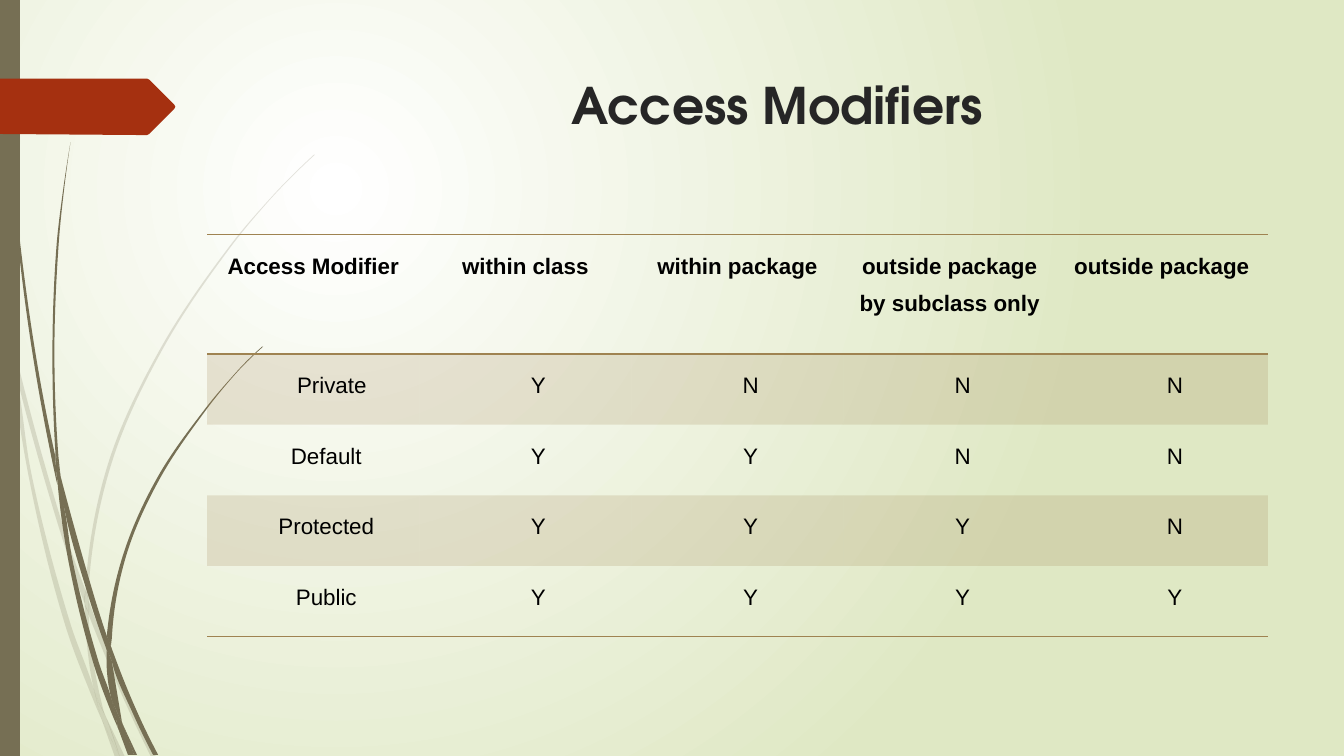
from collections import namedtuple

from lxml import etree
from pptx import Presentation
from pptx import util as u
from pptx.dml.color import RGBColor
from pptx.enum import shapes, text
from pptx.oxml.ns import qn

Box = namedtuple("Box", "left top width height")

COLORS = {"white": "FFFFFF", "lime": "DFE8C4", "olive": "766F54", "rust": "A53010",
          "title": "262626", "body": "000000", "tan": "9F8351"}
UNIT = u.Cm(2.54) / 100  # outline points are in hundredths of an inch
NO_GRID = "{2D5ABB26-0587-4C30-8999-92F81FD0307C}"

PALE_BLADES = [
    "11,350 9,322 0,282 0,299 10,344",
    "58,522 84,599 85,586 62,520 14,345 17,376",
    "92,607 88,596 88,610 123,694 150,751 155,751 127,692",
    "119,751 124,751 105,711",
    "93,683 70,619 31,469 17,376 11,350 28,470 65,621 92,693 101,714 99,707",
    "84,599 87,646 93,683 96,692 105,711 103,706 91,646 88,610 88,608",
    "88,584 110,462 160,349 229,245 268,198 290,175 312,154 312,153 289,175 268,197 "
    "228,244 158,348 107,461 85,584 85,586 88,596",
    "101,714 114,751 119,751",
    "88,608 88,610 88,596 85,586 84,599",
    "96,692 93,683 99,707 101,714 119,751 105,711",
]
DARK_BLADES = [
    "7,110 17,233 33,355 56,477 57,481 55,457 55,453 36,355 19,232 8,109 5,48 4,0 3,0 4,48",
    "88,592 106,645 106,633 106,631 93,590 60,472 64,505",
    "113,649 110,641 111,656 132,708 152,749 157,749 136,706",
    "110,691 98,657 72,556 64,505 57,477 68,557 93,659 111,708 117,722 116,717",
    "60,472 58,453 54,349 58,245 63,193 70,141 62,193 56,245 52,349 55,449",
    "133,749 136,749 122,719",
    "57,477 64,505 60,472 55,449 55,453",
    "111,633 125,552 158,476 205,406 231,374 245,359 261,344 260,344 245,358 231,373 "
    "204,405 156,474 122,551 106,631 110,641",
    "117,722 127,749 131,749",
    "106,645 110,691 116,706 122,719 121,716 111,656 109,651",
    "106,645 109,651 111,656 110,641 106,631 106,633",
    "116,706 110,691 116,717 117,722 130,749 133,749 122,719",
]
ARROW = "173,108 148,133 146,134 136,134 0,133 0,78 136,78 146,78 148,79 173,104 174,106"

TABLE_ROWS = [
    ["Access Modifier", "within class", "within package",
     "outside package by subclass only", "outside package"],
    ["Private", *"YNNN"],
    ["Default", *"YYNN"],
    ["Protected", *"YYYN"],
    ["Public", *"YYYY"],
]


def paint(fill, color, alpha=100):
    """Fill with a solid colour at the given opacity in percent."""
    fill.solid()
    fill.fore_color.rgb = RGBColor.from_string(COLORS[color])
    if alpha < 100:
        etree.SubElement(fill._xPr.find(".//" + qn("a:srgbClr")), qn("a:alpha"),
                         {"val": str(alpha * 1000)})


def finish(shape, color, alpha=100):
    """Give a shape a plain fill with neither outline nor shadow."""
    paint(shape.fill, color, alpha)
    shape.line.fill.background()
    shape.shadow.inherit = False


def bend_handles(points):
    """Yield both handles of each side, keeping sharp corners sharp."""
    spans = [b - a for a, b in zip(points, points[1:] + points[:1])]
    tangents = []
    for before, after in zip(spans[-1:] + spans[:-1], spans):
        short, long = sorted((abs(before), abs(after)))
        way = before / abs(before) + after / abs(after)
        is_bend = abs(way) > 1.9 and short > long / 4
        tangents.append(way / abs(way) if is_bend else None)
    for i, span in enumerate(spans):
        chord = span / abs(span)
        start, end = tangents[i], tangents[(i + 1) % len(points)]
        if start is None:
            start = chord ** 2 * end.conjugate() if end else chord
        if end is None:
            end = chord ** 2 * start.conjugate()
        reach = abs(span) / 3
        yield points[i] + start * reach, points[i] + span - end * reach


def add_outline(parent, box, outline, color, alpha=100, rounded=True):
    """Draw one closed outline, offset by the corner of the box."""
    points = [complex(*map(int, pair.split(","))) * UNIT for pair in outline.split()]
    spots = [(box.left + p.real, box.top + p.imag) for p in points]
    builder = parent.build_freeform(*spots[0], scale=1.0)
    builder.add_line_segments(spots[1:] + spots[:1], close=True)
    shape = builder.convert_to_shape()
    finish(shape, color, alpha)
    if rounded:
        corner = complex(shape.left - box.left, shape.top - box.top)
        sides = list(shape._element.iter(qn("a:lnTo")))
        for side, handles in zip(sides, bend_handles(points)):
            side.tag = qn("a:cubicBezTo")
            for index, handle in enumerate(handles):
                spot = handle - corner
                side.insert(index, etree.Element(qn("a:pt"), {
                    "x": str(round(spot.real)), "y": str(round(spot.imag))}))


def add_background(slide):
    """Set the round glow in the upper left of the slide."""
    fill = slide.background.fill
    fill.gradient()
    for stop, color in zip(fill.gradient_stops, ("white", "lime")):
        stop.color.rgb = RGBColor.from_string(COLORS[color])
    gradient = slide.element.find(".//" + qn("a:gradFill"))
    gradient.remove(gradient.find(qn("a:lin")))
    glow = etree.SubElement(gradient, qn("a:path"), {"path": "circle"})
    etree.SubElement(glow, qn("a:fillToRect"),
                     {"l": "50000", "t": "50000", "r": "100000", "b": "100000"})


def add_decoration(slide, box):
    """Place the grass, the side bar and the arrow along the left edge."""
    for blades, alpha in ((PALE_BLADES, 20), (DARK_BLADES, 100)):
        grass = slide.shapes.add_group_shape()
        for blade in blades:
            add_outline(grass.shapes, box, blade, "olive", alpha)
    bar = slide.shapes.add_shape(shapes.MSO_SHAPE.RECTANGLE, box.left, box.top,
                                 u.Cm(0.5), box.height)
    finish(bar, "olive")
    add_outline(slide.shapes, box, ARROW, "rust", rounded=False)


def write(para, words, font, size, color, bold):
    """Add one centred run to a paragraph."""
    para.alignment = text.PP_ALIGN.CENTER
    span = para.add_run()
    span.text = words
    span.font.name, span.font.size, span.font.bold = font, u.Pt(size), bold
    span.font.color.rgb = RGBColor.from_string(COLORS[color])


def add_title(slide, box):
    """Place the heading at the top of its box."""
    frame = slide.shapes.add_textbox(*box).text_frame
    frame.word_wrap = True
    frame.vertical_anchor = text.MSO_ANCHOR.TOP
    write(frame.paragraphs[0], "Access Modifiers", "TeX Gyre Adventor", 36, "title", True)


def add_border(cell, sides):
    """Draw thin tan lines on the named sides of a cell."""
    for index, side in enumerate(sides):
        line = etree.Element(qn("a:ln" + side), {"w": str(u.Pt(1))})
        solid = etree.SubElement(line, qn("a:solidFill"))
        etree.SubElement(solid, qn("a:srgbClr"), {"val": COLORS["tan"]})
        cell._tc.get_or_add_tcPr().insert(index, line)


def add_modifier_table(slide, box):
    """Build the table of modifiers with every second row shaded."""
    last = len(TABLE_ROWS) - 1
    columns = len(TABLE_ROWS[0])
    table = slide.shapes.add_table(last + 1, columns, *box).table
    table._tbl.tblPr.find(qn("a:tableStyleId")).text = NO_GRID
    table.first_row = table.horz_banding = False
    header_height = u.Cm(3.01)
    for r, row in enumerate(TABLE_ROWS):
        table.rows[r].height = (box.height - header_height) // last if r else header_height
        for c, words in enumerate(row):
            cell = table.cell(r, c)
            cell.margin_left = cell.margin_right = u.Cm(0.18)
            cell.margin_top = cell.margin_bottom = u.Cm(0.18)
            para = cell.text_frame.paragraphs[0]
            para.line_spacing = 1.5
            write(para, words, "Arial", 16, "body", r == 0)
            if r:
                indent = u.Cm(0.94 if words == "Private" else 0.66)
                para._p.get_or_add_pPr().set("marL", str(indent))
            if r % 2:
                paint(cell.fill, "tan", 20)
            add_border(cell, {0: "TB", last: "B"}.get(r, ""))


def main():
    """Assemble and save the slide."""
    deck = Presentation()
    deck.slide_width, deck.slide_height = u.Cm(33.87), u.Cm(19.05)
    slide = deck.slides.add_slide(deck.slide_layouts[6])
    add_background(slide)
    add_decoration(slide, Box(0, 0, deck.slide_width, deck.slide_height))
    add_title(slide, Box(u.Cm(7.2), u.Cm(1.75), u.Cm(24.77), u.Cm(3.56)))
    add_modifier_table(slide, Box(u.Cm(5.22), u.Cm(5.91), u.Cm(26.73), u.Cm(10.13)))
    deck.save("out.pptx")


main()
